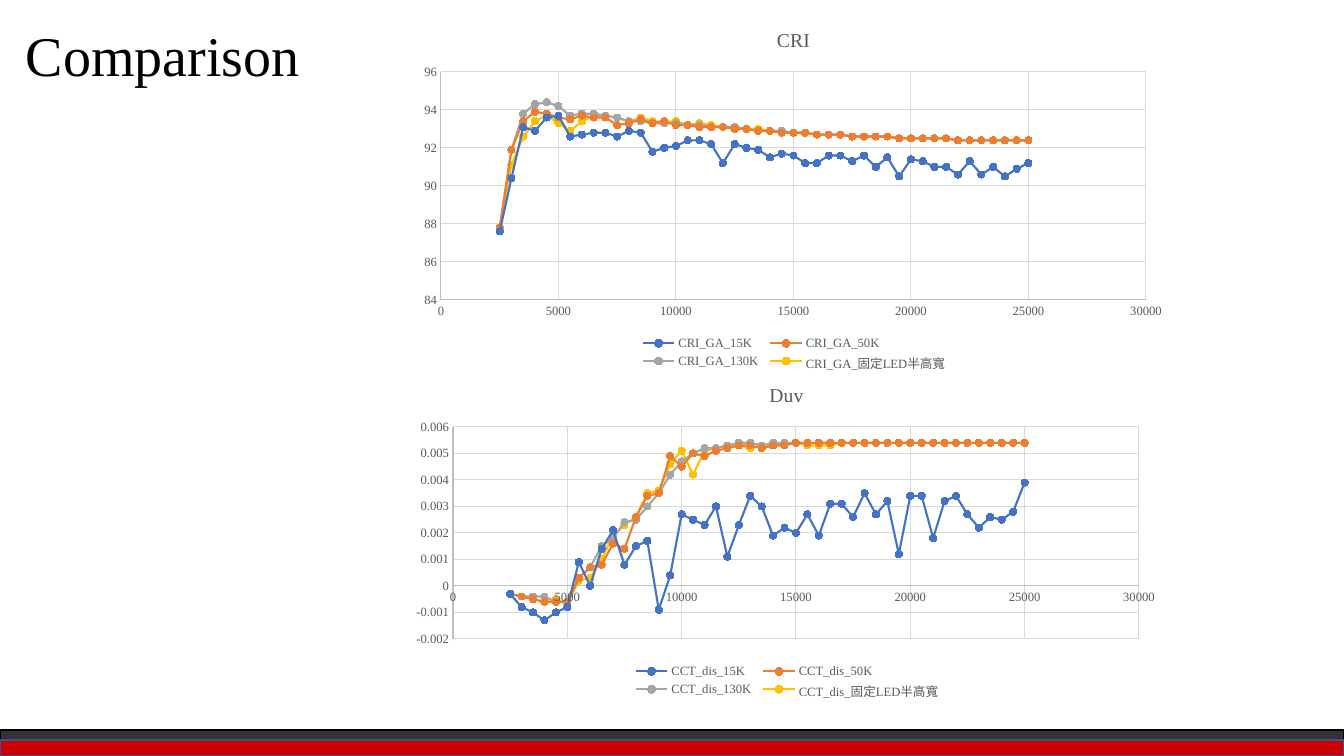
import lxml.etree
import pptx
import pptx.chart.data
import pptx.dml.color
import pptx.enum.chart
import pptx.enum.shapes
import pptx.enum.text
import pptx.oxml.ns
import pptx.util

RGBColor = pptx.dml.color.RGBColor
BLACK = RGBColor(0x00, 0x00, 0x00)
CHARCOAL = RGBColor(0x33, 0x33, 0x33)
RED = RGBColor(0xCC, 0x00, 0x00)
NAVY = RGBColor(0x32, 0x54, 0x91)
LABEL_GREY = RGBColor(0x59, 0x59, 0x59)
AXIS_GREY = RGBColor(0xBF, 0xBF, 0xBF)
GRID_GREY = RGBColor(0xD9, 0xD9, 0xD9)
SERIES_COLORS = [RGBColor(0x44, 0x72, 0xC4), RGBColor(0xED, 0x7D, 0x31),
                 RGBColor(0xA5, 0xA5, 0xA5), RGBColor(0xFF, 0xC0, 0x00)]
FONT = "Times New Roman"
EMU_PER_PX = 914400 / 100.8
SLIDE_WIDTH, SLIDE_HEIGHT = 1344, 756

# Colour temperatures shared by every series
TEMPERATURES = range(2500, 25001, 500)
CRI_TAIL = [92.8, 92.8, 92.7, 92.7, 92.7, 92.6, 92.6, 92.6, 92.6,
            92.5, 92.5, 92.5, 92.5, 92.5] + [92.4] * 7
CRI_SERIES = {
    "CRI_GA_15K": [
        87.6, 90.4, 93.1, 92.9, 93.6, 93.7, 92.6, 92.7, 92.8, 92.8, 92.6, 92.9,
        92.8, 91.8, 92.0, 92.1, 92.4, 92.4, 92.2, 91.2, 92.2, 92.0, 91.9, 91.5,
        91.7, 91.6, 91.2, 91.2, 91.6, 91.6, 91.3, 91.6, 91.0, 91.5, 90.5, 91.4,
        91.3, 91.0, 91.0, 90.6, 91.3, 90.6, 91.0, 90.5, 90.9, 91.2],
    "CRI_GA_50K": [
        87.8, 91.9, 93.4, 93.9, 93.8, 93.6, 93.5, 93.7, 93.6, 93.6, 93.2, 93.3,
        93.5, 93.3, 93.4, 93.2, 93.2, 93.1, 93.1, 93.1, 93.0, 93.0, 92.9, 92.9,
        92.8] + CRI_TAIL,
    "CRI_GA_130K": [
        87.8, 91.9, 93.8, 94.3, 94.4, 94.2, 93.7, 93.8, 93.8, 93.7, 93.6, 93.4,
        93.4, 93.3, 93.3, 93.3, 93.2, 93.2, 93.1, 93.1, 93.1, 93.0, 92.9, 92.9,
        92.9] + CRI_TAIL,
    "CRI_GA_固定LED半高寬": [
        87.7, 91.1, 92.6, 93.4, 93.7, 93.3, 92.9, 93.4, 93.7, 93.7, 93.6, 93.4,
        93.6, 93.4, 93.4, 93.4, 93.2, 93.3, 93.2, 93.1, 93.0, 93.0, 93.0, 92.9,
        92.8] + CRI_TAIL,
}
DUV_SERIES = {
    "CCT_dis_15K": [
        -0.0003, -0.0008, -0.001, -0.0013, -0.001, -0.0008, 0.0009, 0, 0.0014,
        0.0021, 0.0008, 0.0015, 0.0017, -0.0009, 0.0004, 0.0027, 0.0025, 0.0023,
        0.003, 0.0011, 0.0023, 0.0034, 0.003, 0.0019, 0.0022, 0.002, 0.0027,
        0.0019, 0.0031, 0.0031, 0.0026, 0.0035, 0.0027, 0.0032, 0.0012, 0.0034,
        0.0034, 0.0018, 0.0032, 0.0034, 0.0027, 0.0022, 0.0026, 0.0025, 0.0028,
        0.0039],
    "CCT_dis_50K": [
        -0.0003, -0.0004, -0.0005, -0.0006, -0.0006, -0.0006, 0.0003, 0.0007,
        0.0008, 0.0016, 0.0014, 0.0026, 0.0034, 0.0035, 0.0049, 0.0045, 0.005,
        0.0049, 0.0051, 0.0052, 0.0053, 0.0053, 0.0052, 0.0053, 0.0053]
        + [0.0054] * 21,
    "CCT_dis_130K": [
        -0.0003, -0.0004, -0.0004, -0.0004, -0.0006, -0.0006, 0.0003, 0.0007,
        0.0015, 0.0018, 0.0024, 0.0025, 0.003, 0.0035, 0.0042, 0.0047, 0.005,
        0.0052, 0.0052, 0.0053, 0.0054, 0.0054, 0.0053] + [0.0054] * 23,
    "CCT_dis_固定LED半高寬": [
        -0.0003, -0.0004, -0.0005, -0.0006, -0.0005, -0.0007, 0.0002, 0.0003,
        0.001, 0.0019, 0.0023, 0.0026, 0.0035, 0.0036, 0.0046, 0.0051, 0.0042,
        0.0051, 0.0052, 0.0053, 0.0053, 0.0052, 0.0053, 0.0053, 0.0054, 0.0054,
        0.0053, 0.0053, 0.0053] + [0.0054] * 17,
}


def px(length):
    return pptx.util.Emu(round(length * EMU_PER_PX))


def style_font(font, size, color):
    font.name = FONT
    font.size = pptx.util.Pt(size)
    font.bold = False
    font.color.rgb = color


def style_line(line, color, width):
    line.color.rgb = color
    line.width = pptx.util.Pt(width)


def add_footer_bars(slide, box):
    left, top, width, height = box
    for offset, fill, outline in ((0, CHARCOAL, BLACK), (10, RED, NAVY)):
        bar = slide.shapes.add_shape(
            pptx.enum.shapes.MSO_SHAPE.RECTANGLE,
            px(left), px(top + offset), px(width), px(height - offset))
        bar.shadow.inherit = False
        bar.fill.solid()
        bar.fill.fore_color.rgb = fill
        style_line(bar.line, outline, 1)


def add_title(slide, box):
    text_frame = slide.shapes.add_textbox(*map(px, box)).text_frame
    text_frame.word_wrap = True
    text_frame.auto_size = pptx.enum.text.MSO_AUTO_SIZE.SHAPE_TO_FIT_TEXT
    text_frame.text = "Comparison"
    style_font(text_frame.paragraphs[0].runs[0].font, 40, BLACK)


def make_layout(area, chart_box, inner):
    """Return a manual chart layout; area is in px from the chart's corner."""
    layout = pptx.oxml.ns.qn("c:layout")
    element = lxml.etree.Element(layout)
    manual = lxml.etree.SubElement(element, pptx.oxml.ns.qn("c:manualLayout"))
    settings = [("layoutTarget", "inner")] if inner else []
    settings += [("xMode", "edge"), ("yMode", "edge")]
    settings += [(name, f"{length / chart_box[2 + index % 2]:.4f}")
                 for index, (name, length) in enumerate(zip("xywh", area))]
    for name, value in settings:
        lxml.etree.SubElement(manual, pptx.oxml.ns.qn("c:" + name)).set("val", value)
    return element


def place_part(parent, position, layout):
    for old_layout in parent.findall(pptx.oxml.ns.qn("c:layout")):
        parent.remove(old_layout)
    parent.insert(position, layout)


def style_axis(axis, minimum, maximum, step):
    axis.minimum_scale, axis.maximum_scale, axis.major_unit = minimum, maximum, step
    axis.major_tick_mark = axis.minor_tick_mark = pptx.enum.chart.XL_TICK_MARK.NONE
    axis.has_major_gridlines = True
    style_line(axis.major_gridlines.format.line, GRID_GREY, 0.75)
    style_line(axis.format.line, AXIS_GREY, 0.75)
    style_font(axis.tick_labels.font, 9, LABEL_GREY)
    axis.tick_labels.number_format = "General"
    axis.tick_labels.number_format_is_linked = False


def add_smooth_chart(slide, box, title, series_values, value_scale, plot, legend):
    data = pptx.chart.data.XyChartData()
    for name, values in series_values.items():
        series_data = data.add_series(name)
        for temperature, value in zip(TEMPERATURES, values):
            series_data.add_data_point(temperature, value)
    chart = slide.shapes.add_chart(
        pptx.enum.chart.XL_CHART_TYPE.XY_SCATTER_SMOOTH, *map(px, box), data).chart
    style_font(chart.font, 10, BLACK)

    # Title and axes
    chart.has_title = True
    chart.chart_title.include_in_layout = False
    title_frame = chart.chart_title.text_frame
    title_frame.text = title
    style_font(title_frame.paragraphs[0].runs[0].font, 14, LABEL_GREY)
    style_axis(chart.category_axis, 0, 30000, 5000)
    style_axis(chart.value_axis, *value_scale)

    # Series
    chart.plots[0].vary_by_categories = False
    for series, color in zip(chart.plots[0].series, SERIES_COLORS):
        series.smooth = True
        style_line(series.format.line, color, 1.5)
        series.marker.style = pptx.enum.chart.XL_MARKER_STYLE.CIRCLE
        series.marker.size = 5
        series.marker.format.fill.solid()
        series.marker.format.fill.fore_color.rgb = color
        style_line(series.marker.format.line, color, 0.75)

    # Legend and plot area
    chart.has_legend = True
    chart.legend.position = pptx.enum.chart.XL_LEGEND_POSITION.BOTTOM
    chart.legend.include_in_layout = False
    style_font(chart.legend.font, 9, LABEL_GREY)
    legend_element = chart.element.find(".//" + pptx.oxml.ns.qn("c:legend"))
    place_part(legend_element, 1, make_layout(legend, box, False))
    plot_element = chart.element.find(".//" + pptx.oxml.ns.qn("c:plotArea"))
    place_part(plot_element, 0, make_layout(plot, box, True))


def main():
    presentation = pptx.Presentation()
    presentation.slide_width, presentation.slide_height = px(SLIDE_WIDTH), px(SLIDE_HEIGHT)
    slide = presentation.slides.add_slide(presentation.slide_layouts[6])
    add_footer_bars(slide, (0, 730, SLIDE_WIDTH, 26))
    add_smooth_chart(slide, (409, 11, 769, 367), "CRI", CRI_SERIES, (84, 96, 2),
                     plot=(32, 61, 705, 228), legend=(226, 322, 318, 42))
    add_smooth_chart(slide, (402, 367, 769, 339), "Duv", DUV_SERIES,
                     (-0.002, 0.006, 0.001),
                     plot=(51, 60, 686, 212), legend=(226, 294, 318, 42))
    add_title(slide, (16, 16, 327, 78))
    presentation.save("out.pptx")


if __name__ == "__main__":
    main()
